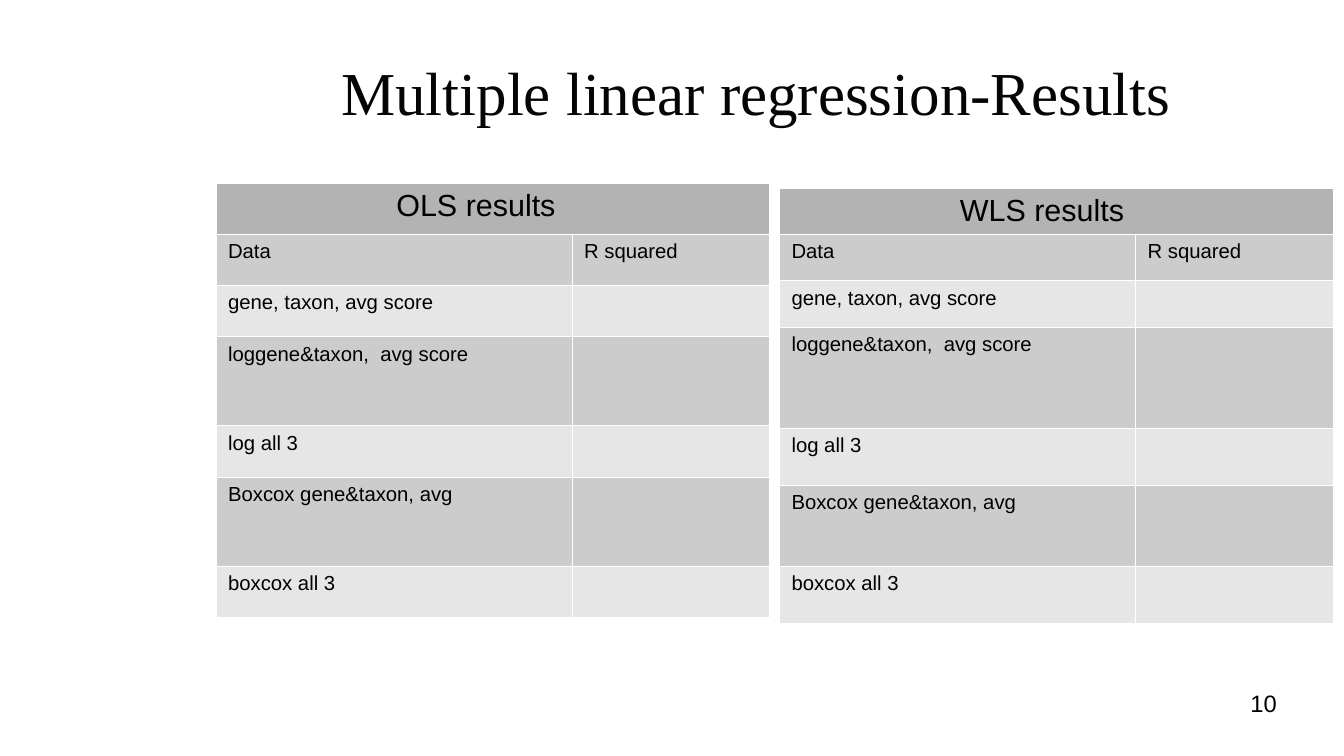
from lxml import etree
from pptx import Presentation
from pptx.dml.color import RGBColor
from pptx.enum import text
from pptx.oxml.ns import qn
from pptx.util import Inches, Pt

TITLE = "Multiple linear regression-Results"
PAGE = "10"
ROWS = [
    ("Data", "R squared"),
    ("gene, taxon, avg score", ""),
    ("loggene&taxon,  avg score", ""),
    ("log all 3", ""),
    ("Boxcox gene&taxon, avg", ""),
    ("boxcox all 3", ""),
]
# heading, left, top, row heights
RESULTS = [
    ("OLS results", 1.77, 1.5, [0.42, 0.42, 0.42, 0.73, 0.42, 0.73, 0.42]),
    ("WLS results", 6.39, 1.54, [0.38, 0.38, 0.38, 0.83, 0.47, 0.66, 0.47]),
]
COLUMNS = [2.92, 1.45]
HEADING_INDENT = 1.48
COLORS = {"title": "050505", "ink": "000000", "heading": "B3B3B3",
          "dark": "CCCCCC", "light": "E6E6E6", "border": "FFFFFF"}


def color(name):
    return RGBColor.from_string(COLORS[name])


def write(frame, words, size, font="Arial", ink="ink", align=None):
    frame.text = words
    line = frame.paragraphs[0]
    line.alignment = align
    for run in line.runs:
        run.font.size = Pt(size)
        run.font.name = font
        run.font.color.rgb = color(ink)
    if not words:
        # an empty cell needs its own text size, or it stretches the row
        etree.SubElement(line._p, qn("a:endParaRPr"), sz=str(size * 100))


def clear_margins(frame):
    frame.margin_left = frame.margin_right = 0
    frame.margin_top = frame.margin_bottom = 0
    frame.word_wrap = True


def style_cell(cell, fill):
    """Fill the cell and draw hairline borders on its four sides."""
    cell.margin_bottom = Inches(0.03)
    props = cell._tc.get_or_add_tcPr()
    for side in ("lnL", "lnR", "lnT", "lnB"):
        border = etree.SubElement(props, qn(f"a:{side}"), w=str(Pt(0.06)))
        solid = etree.SubElement(border, qn("a:solidFill"))
        etree.SubElement(solid, qn("a:srgbClr"), val=COLORS["border"])
    cell.fill.solid()
    cell.fill.fore_color.rgb = color(fill)


def add_results(slide, heading, left, top, heights):
    table = slide.shapes.add_table(
        len(heights), len(COLUMNS), Inches(left), Inches(top),
        Inches(sum(COLUMNS)), Inches(sum(heights))).table
    for column, width in zip(table.columns, COLUMNS):
        column.width = Inches(width)
    for row, height in zip(table.rows, heights):
        row.height = Inches(height)
    for r, values in enumerate([(heading, "")] + ROWS):
        fill = "heading" if r == 0 else ("light", "dark")[r % 2]
        for c, value in enumerate(values):
            cell = table.cell(r, c)
            style_cell(cell, fill)
            write(cell.text_frame, value, 12 if r else 18)
    table.cell(0, 0).merge(table.cell(0, 1))
    table.cell(0, 0).margin_left = Inches(HEADING_INDENT)


def main():
    deck = Presentation()
    deck.slide_width, deck.slide_height = Inches(11.02), Inches(6.2)
    slide = deck.slides.add_slide(deck.slide_layouts[5])

    title = slide.shapes.title
    title.left, title.top = Inches(1.77), Inches(0.24)
    title.width, title.height = Inches(8.86), Inches(1.02)
    clear_margins(title.text_frame)
    title.text_frame.vertical_anchor = text.MSO_ANCHOR.MIDDLE
    write(title.text_frame, TITLE, 36, "Times New Roman", "title", text.PP_ALIGN.CENTER)

    for result in RESULTS:
        add_results(slide, *result)

    page = slide.shapes.add_textbox(Inches(7.9), Inches(5.65), Inches(2.57), Inches(0.43))
    clear_margins(page.text_frame)
    write(page.text_frame, PAGE, 14, align=text.PP_ALIGN.RIGHT)

    deck.save("out.pptx")


if __name__ == "__main__":
    main()
